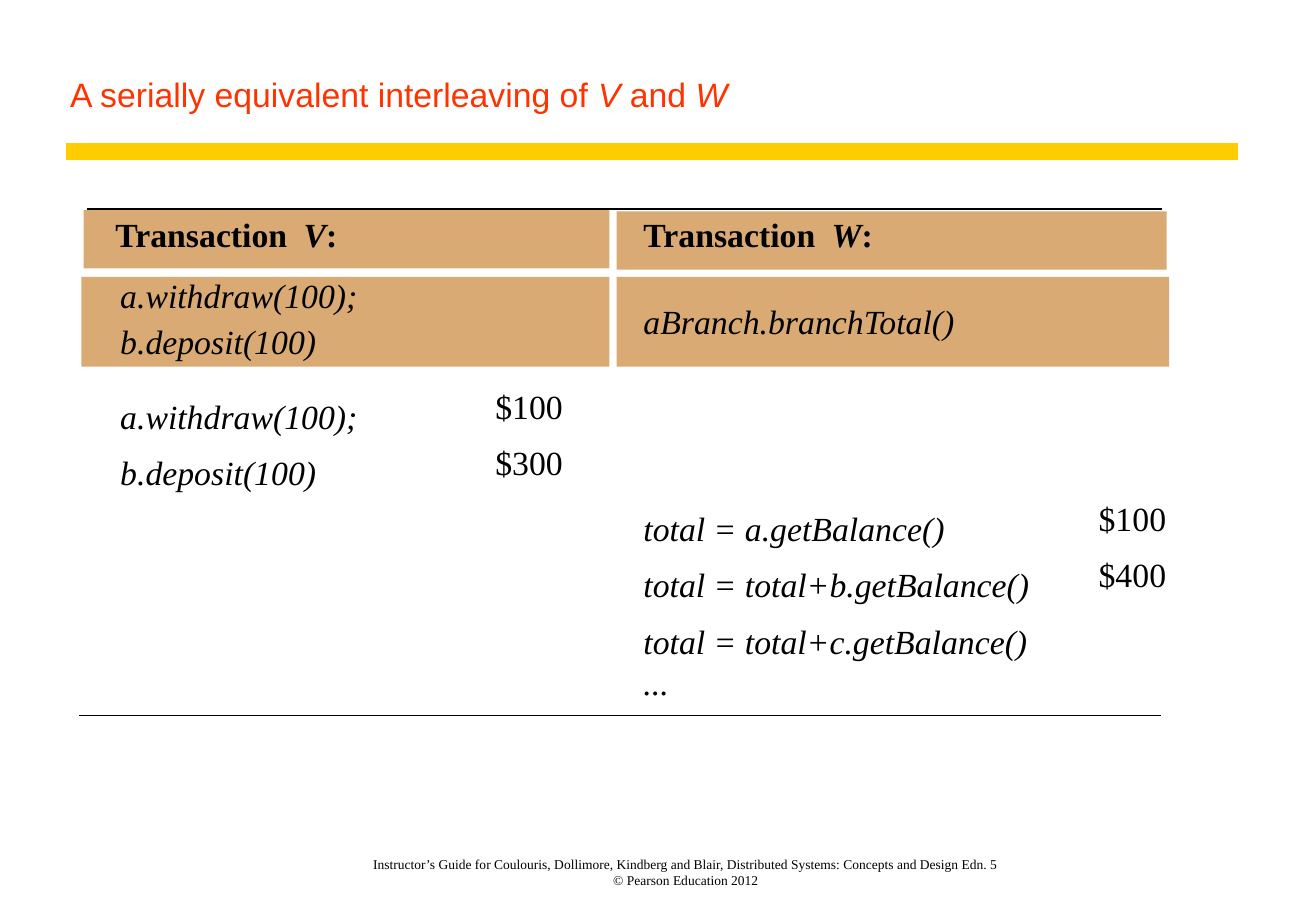
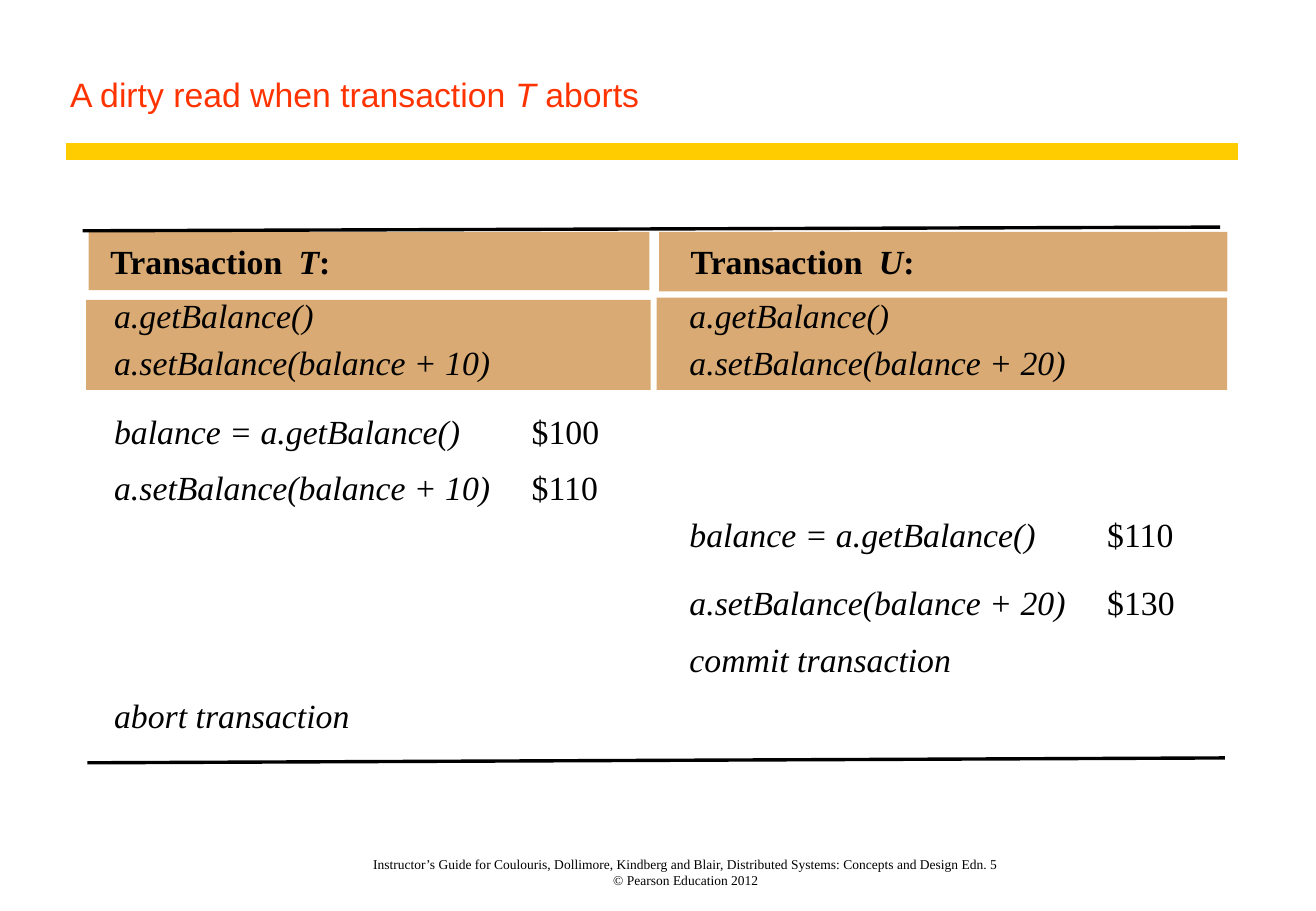
from dataclasses import dataclass

import pptx
import pptx.dml.color
import pptx.enum.shapes
import pptx.enum.text
import pptx.oxml
import pptx.oxml.ns
import pptx.util
from pptx.util import Inches

RGBColor = pptx.dml.color.RGBColor
Align = pptx.enum.text.PP_ALIGN
Anchor = pptx.enum.text.MSO_ANCHOR

BLACK = RGBColor(0x00, 0x00, 0x00)
TITLE_RED = RGBColor(0xFF, 0x33, 0x00)
BAND_YELLOW = RGBColor(0xFF, 0xCC, 0x00)
CELL_TAN = RGBColor(0xD9, 0xAA, 0x73)

TITLE_FONT = "Arial"
BODY_FONT = "Times New Roman"
LINE_HEIGHT = 0.33
OPERATION_PITCH = 0.38
AMOUNT_WIDTH = 0.7
NAME_TAB = 1.55

FOOTER = ("Instructor’s Guide for Coulouris, Dollimore, Kindberg and Blair, "
          "Distributed Systems: Concepts and Design Edn. 5\v"
          "© Pearson Education 2012")


@dataclass
class Column:
    """One transaction; lengths are inches from the schedule's corner."""
    name: str
    heading_band: tuple
    operations_band: tuple
    heading_left: float
    text_left: float
    amount_left: float
    operations_top: float
    operations: list
    steps: list  # (top, action, amount)


@dataclass
class Schedule:
    origin: tuple
    heading_top: float
    amount_lift: float
    rules: list  # (x1, y1, x2, y2)
    rule_width: float
    columns: list


def add_text(slide, box, runs, *, font=BODY_FONT, size=20, color=BLACK,
             bold=False, italic=False, align=Align.LEFT, anchor=Anchor.TOP,
             margins=(0, 0, 0, 0), tab=None):
    """Add a text box; runs is a string or a list of (text, italic)."""
    shape = slide.shapes.add_textbox(*map(Inches, box))
    frame = shape.text_frame
    frame.word_wrap = True
    frame.vertical_anchor = anchor
    (frame.margin_left, frame.margin_top,
     frame.margin_right, frame.margin_bottom) = map(Inches, margins)
    paragraph = frame.paragraphs[0]
    paragraph.alignment = align
    if tab is not None:
        namespace = pptx.oxml.ns.nsdecls("a")
        paragraph._p.get_or_add_pPr().append(pptx.oxml.parse_xml(
            f'<a:tabLst {namespace}><a:tab pos="{Inches(tab)}" algn="l"/></a:tabLst>'))
    if isinstance(runs, str):
        runs = [(runs, italic)]
    for text, run_italic in runs:
        for index, part in enumerate(text.split("\v")):
            if index:
                paragraph.add_line_break()
            run = paragraph.add_run()
            run.text = part
            run.font.name = font
            run.font.size = pptx.util.Pt(size)
            run.font.color.rgb = color
            run.font.bold = bold
            run.font.italic = run_italic
    return shape


def add_line(slide, ends, color, width):
    line = slide.shapes.add_connector(
        pptx.enum.shapes.MSO_CONNECTOR.STRAIGHT, *map(Inches, ends))
    line.line.color.rgb = color
    line.line.width = pptx.util.Pt(width)
    line._element.spPr.append(pptx.oxml.parse_xml(
        f'<a:effectLst {pptx.oxml.ns.nsdecls("a")}/>'))


def add_band(slide, box):
    band = slide.shapes.add_shape(
        pptx.enum.shapes.MSO_SHAPE.RECTANGLE, *map(Inches, box))
    band.shadow.inherit = False
    band.fill.solid()
    band.fill.fore_color.rgb = CELL_TAN
    band.line.fill.background()


def add_frame(slide, title):
    """Add the title, yellow rule and footer that every slide has."""
    add_text(slide, (2.35, 6.92, 6.6, 0.39), FOOTER, size=8,
             align=Align.CENTER, anchor=Anchor.BOTTOM,
             margins=(0.04, 0, 0.04, 0))
    add_line(slide, (0.54, 1.25, 10.2, 1.25), BAND_YELLOW, 10)
    add_text(slide, (0.48, 0, 9.72, 1), title, font=TITLE_FONT,
             color=TITLE_RED, anchor=Anchor.BOTTOM,
             margins=(0.1, 0.06, 0.14, 0.06))


def add_column(slide, schedule, column):
    left, top = schedule.origin

    def place(box):
        return (left + box[0], top + box[1], *box[2:])

    add_band(slide, place(column.heading_band))
    add_band(slide, place(column.operations_band))
    width = column.amount_left - column.text_left
    add_text(slide,
             place((column.heading_left, schedule.heading_top, width, LINE_HEIGHT)),
             [("Transaction\t", False), (column.name, True), (":", False)],
             bold=True, tab=NAME_TAB)

    actions = [(column.operations_top + index * OPERATION_PITCH, operation, None)
               for index, operation in enumerate(column.operations)]
    for step_top, action, amount in actions + column.steps:
        add_text(slide, place((column.text_left, step_top, width, LINE_HEIGHT)),
                 action, italic=True)
        if amount:
            add_text(slide, place((column.amount_left,
                                   step_top - schedule.amount_lift,
                                   AMOUNT_WIDTH, LINE_HEIGHT)), amount)


def add_schedule(slide, schedule):
    for column in schedule.columns:
        add_column(slide, schedule, column)
    left, top = schedule.origin
    for x1, y1, x2, y2 in schedule.rules:
        add_line(slide, (left + x1, top + y1, left + x2, top + y2),
                 BLACK, schedule.rule_width)


SERIAL_SCHEDULE = Schedule(
    origin=(0.67, 1.72), heading_top=0.04, amount_lift=0.08,
    rules=[(0.05, 0, 8.9, 0), (-0.02, 4.17, 8.89, 4.17)], rule_width=0.75,
    columns=[
        Column("V", (0.02, 0.01, 4.33, 0.48), (0, 0.56, 4.35, 0.74),
               heading_left=0.28, text_left=0.32, amount_left=3.41,
               operations_top=0.54,
               operations=["a.withdraw(100);", "b.deposit(100)"],
               steps=[(1.54, "a.withdraw(100);", "$100"),
                      (2.0, "b.deposit(100)", "$300")]),
        Column("W", (4.41, 0.02, 4.53, 0.48), (4.41, 0.56, 4.55, 0.74),
               heading_left=4.63, text_left=4.63, amount_left=8.38,
               operations_top=0.76,
               operations=["aBranch.branchTotal()"],
               steps=[(2.46, "total = a.getBalance()", "$100"),
                      (2.92, "total = total+b.getBalance()", "$400"),
                      (3.39, "total = total+c.getBalance()", None),
                      (3.73, "...", None)]),
    ])

DIRTY_READ_SCHEDULE = Schedule(
    origin=(0.68, 1.87), heading_top=0.11, amount_lift=0,
    rules=[(0, 0.03, 9.37, 0), (0.04, 4.41, 9.41, 4.37)], rule_width=2,
    columns=[
        Column("T", (0.05, 0.04, 4.62, 0.48), (0.03, 0.6, 4.65, 0.74),
               heading_left=0.23, text_left=0.26, amount_left=3.7,
               operations_top=0.56,
               operations=["a.getBalance()", "a.setBalance(balance + 10)"],
               steps=[(1.51, "balance = a.getBalance()", "$100"),
                      (1.97, "a.setBalance(balance + 10)", "$110"),
                      (3.85, "abort transaction", None)]),
        Column("U", (4.75, 0.04, 4.68, 0.49), (4.73, 0.58, 4.7, 0.76),
               heading_left=5.01, text_left=5.0, amount_left=8.44,
               operations_top=0.56,
               operations=["a.getBalance()", "a.setBalance(balance + 20)"],
               steps=[(2.36, "balance = a.getBalance()", "$110"),
                      (2.92, "a.setBalance(balance + 20)", "$130"),
                      (3.39, "commit transaction", None)]),
    ])

SLIDES = [
    ([("A serially equivalent interleaving of ", False), ("V", True),
      (" and ", False), ("W", True)], SERIAL_SCHEDULE),
    ([("A dirty read when transaction ", False), ("T", True),
      (" aborts", False)], DIRTY_READ_SCHEDULE),
]


def main():
    presentation = pptx.Presentation()
    presentation.slide_width = Inches(10.84)
    presentation.slide_height = Inches(7.5)
    blank_layout = presentation.slide_layouts[6]
    for title, schedule in SLIDES:
        slide = presentation.slides.add_slide(blank_layout)
        add_frame(slide, title)
        add_schedule(slide, schedule)
    presentation.save("out.pptx")


if __name__ == "__main__":
    main()
